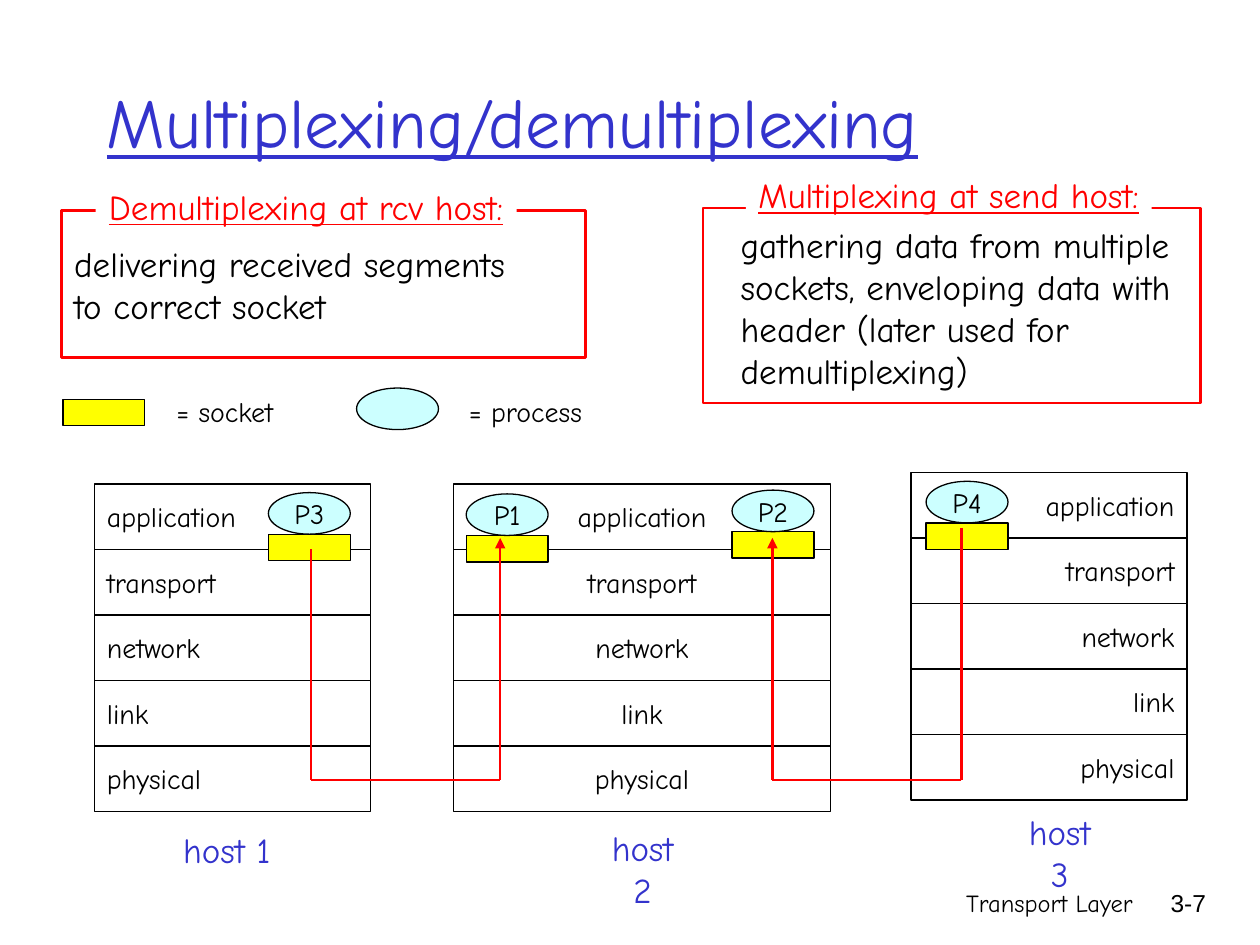
from itertools import pairwise

from lxml import etree
from pptx import Presentation
from pptx.dml.color import RGBColor
from pptx.enum.shapes import MSO_CONNECTOR, MSO_SHAPE
from pptx.enum.text import MSO_ANCHOR, PP_ALIGN
from pptx.oxml.ns import qn
from pptx.util import Inches, Pt

# The slide is a grid of 100 columns and 75 rows of square cells
SLIDE_WIDTH, SLIDE_HEIGHT = Inches(10), Inches(7.5)
CELL = SLIDE_WIDTH / 100
COLORS = {
    "paper": "FFFFFF",
    "ink": "000000",
    "blue": "3333CC",
    "red": "FF0000",
    "socket": "FFFF00",
    "process": "CCFFFF",
}
LAYERS = ["application", "transport", "network", "link", "physical"]
LAYER_ROWS = 5.2
SOCKET_SIZE = (6.5, 2.1)
PROCESS_SIZE = (6.5, 3.3)
LEFT, CENTER, RIGHT = PP_ALIGN.LEFT, PP_ALIGN.CENTER, PP_ALIGN.RIGHT


def cells(*counts):
    return [round(count * CELL) for count in counts]


def color(name):
    return RGBColor.from_string(COLORS[name])


def write(shape, text, size=16, ink="ink", align=LEFT, anchor=MSO_ANCHOR.MIDDLE,
          font="Comic Neue", underline=False, wrap=False):
    """Put text into a shape, one paragraph per line."""
    frame = shape.text_frame
    frame.word_wrap = wrap
    frame.vertical_anchor = anchor
    frame.text = text
    for paragraph in frame.paragraphs:
        paragraph.alignment = align
        paragraph.font.name = font
        paragraph.font.size = Pt(size)
        paragraph.font.underline = underline
        paragraph.font.color.rgb = color(ink)


def add_label(slide, box, text, **style):
    label = slide.shapes.add_textbox(*cells(*box))
    write(label, text, **{"anchor": MSO_ANCHOR.TOP, **style})
    return label


def add_block(slide, kind, box, fill=None, line="ink", weight=0.75):
    block = slide.shapes.add_shape(kind, *cells(*box))
    block.shadow.inherit = False
    if fill:
        block.fill.solid()
        block.fill.fore_color.rgb = color(fill)
    else:
        block.fill.background()
    block.line.color.rgb = color(line)
    block.line.width = Pt(weight)
    return block


def add_socket(slide, left, top):
    add_block(slide, MSO_SHAPE.RECTANGLE, (left, top, *SOCKET_SIZE), "socket")


def add_process(slide, left, top, name=""):
    oval = add_block(slide, MSO_SHAPE.OVAL, (left, top, *PROCESS_SIZE), "process")
    if name:
        write(oval, name, align=CENTER)


def add_host(slide, left, top, width, align, processes):
    """Stack the layers, then set each process on its socket."""
    for index, layer in enumerate(LAYERS):
        box = (left, top + index * LAYER_ROWS, width, LAYER_ROWS)
        write(add_block(slide, MSO_SHAPE.RECTANGLE, box, "paper"), layer, align=align)
    for name, process_left, process_top in processes:
        add_socket(slide, process_left, process_top + PROCESS_SIZE[1])
        add_process(slide, process_left, process_top, name)


def add_route(slide, *points):
    """Join the points with red lines; the last one ends in an arrowhead."""
    for start, end in pairwise(points):
        leg = slide.shapes.add_connector(MSO_CONNECTOR.STRAIGHT, *cells(*start, *end))
        leg.line.color.rgb = color("red")
        leg.line.width = Pt(1.5)
        properties = leg._element.spPr
        if end == points[-1]:
            etree.SubElement(properties.find(qn("a:ln")), qn("a:tailEnd"), type="triangle")
        etree.SubElement(properties, qn("a:effectLst"))


def add_definition(slide, frame_box, heading_box, heading, text_box, text):
    """Red frame whose top edge is broken by its heading."""
    add_block(slide, MSO_SHAPE.RECTANGLE, frame_box, line="red", weight=1.5)
    add_label(slide, text_box, text, size=20, anchor=MSO_ANCHOR.MIDDLE)
    title = add_label(slide, heading_box, heading, size=20, ink="red",
                      align=CENTER, underline=True)
    title.fill.solid()
    title.fill.fore_color.rgb = color("paper")


def main():
    deck = Presentation()
    deck.slide_width, deck.slide_height = SLIDE_WIDTH, SLIDE_HEIGHT
    slide = deck.slides.add_slide(deck.slide_layouts[6])

    # Title
    add_label(slide, (7.5, 3.3, 85, 12.5), "Multiplexing/demultiplexing", size=40,
              ink="blue", anchor=MSO_ANCHOR.MIDDLE, underline=True, wrap=True)

    # Hosts
    add_host(slide, 7.5, 38.4, 21.9, LEFT, [("P3", 21.3, 39.1)])
    add_host(slide, 36, 38.4, 29.9, CENTER, [("P1", 37, 39.2), ("P2", 58.1, 38.9)])
    add_host(slide, 72.3, 37.5, 21.9, RIGHT, [("P4", 73.5, 38.2)])
    for name, left, top in [("host 1", 13.4, 65.3), ("host 2", 46.4, 65.1),
                            ("host 3", 79.5, 63.8)]:
        add_label(slide, (left, top, 9.2, 4.4), name, size=20, ink="blue", align=CENTER)

    # Segments travelling to host 2
    add_route(slide, (24.7, 43.6), (24.7, 61.9), (39.7, 61.9), (39.7, 42.7))
    add_route(slide, (76.3, 41.9), (76.3, 61.9), (61.3, 61.9), (61.3, 42.7))

    # Legend
    add_socket(slide, 5, 31.7)
    add_process(slide, 28.3, 30.8)
    add_label(slide, (13, 30.8, 9.7, 3.7), "= socket", align=CENTER)
    add_label(slide, (36.2, 30.8, 11, 3.7), "= process", align=CENTER)

    # Definitions
    add_definition(slide, (4.9, 16.7, 41.6, 11.7),
                   (7.6, 14.2, 33.4, 4.4), "Demultiplexing at rcv host:",
                   (4.9, 16.7, 36.2, 11.7),
                   "delivering received segments\nto correct socket")
    add_definition(slide, (55.8, 16.5, 39.5, 15.5),
                   (59.2, 13.3, 32.2, 4.4), "Multiplexing at send host:",
                   (57.8, 17.2, 37.2, 14.4),
                   "gathering data from multiple\nsockets, enveloping data with\n"
                   "header (later used for\ndemultiplexing)")

    # Footer
    add_label(slide, (59.2, 70, 31.7, 5), "Transport Layer", size=14, align=RIGHT, wrap=True)
    add_label(slide, (89.3, 70, 7.4, 5), "3-7", size=14, align=RIGHT, font="Arial", wrap=True)

    deck.save("out.pptx")


if __name__ == "__main__":
    main()
